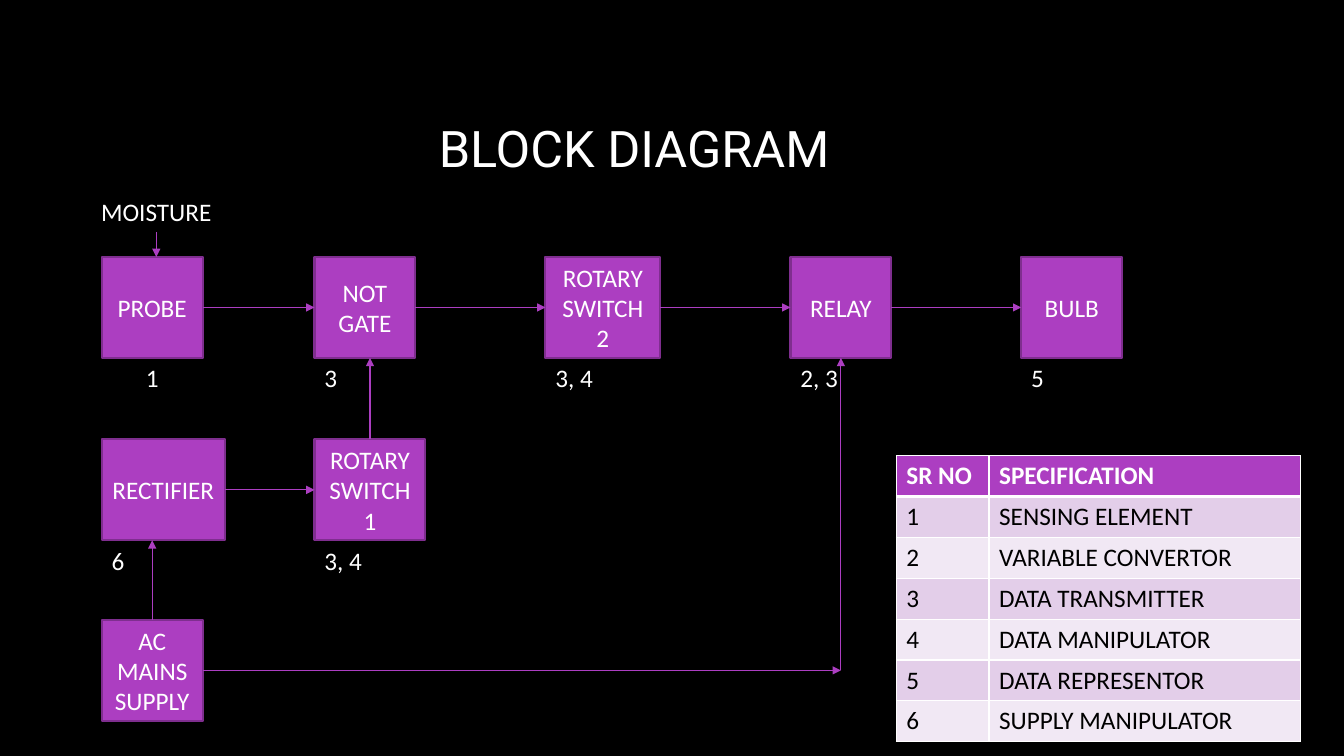
from lxml import etree
from pptx import Presentation
from pptx.dml.color import RGBColor
from pptx.enum.shapes import MSO_CONNECTOR, MSO_SHAPE
from pptx.enum.text import MSO_ANCHOR, PP_ALIGN
from pptx.oxml.ns import qn
from pptx.util import Inches, Pt

CENTER, LEFT = PP_ALIGN.CENTER, PP_ALIGN.LEFT
MIDDLE, TOP_ANCHOR = MSO_ANCHOR.MIDDLE, MSO_ANCHOR.TOP
RECTANGLE = MSO_SHAPE.RECTANGLE
STRAIGHT = MSO_CONNECTOR.STRAIGHT
TOP, LEFT_SIDE, BOTTOM, RIGHT_SIDE = range(4)

COLORS = {
    "background": "000000",
    "purple": "AC3EC1",
    "outline": "7F2E8F",
    "white": "FFFFFF",
    "black": "000000",
    "band_dark": "E3CEE9",
    "band_light": "F1E8F4",
}
BODY = {"name": "Calibri", "size": Pt(18), "bold": False}
HEADER = {**BODY, "bold": True}
TITLE = {"name": "Roboto", "size": Pt(36), "bold": False}

BLOCK_SIZE = 1
LABEL_HEIGHT = 0.4
TOP_ROW, MIDDLE_ROW, BOTTOM_ROW = 2.55, 4.36, 6.15

BLOCKS = {
    "PROBE": (1.01, TOP_ROW, 1, "1", CENTER),
    "NOT GATE": (3.12, TOP_ROW, 1, "3", LEFT),
    "ROTARY SWITCH 2": (5.41, TOP_ROW, 1.14, "3, 4", LEFT),
    "RELAY": (7.84, TOP_ROW, 1, "2, 3", LEFT),
    "BULB": (10.13, TOP_ROW, 1, "5", LEFT),
    "RECTIFIER": (1.01, MIDDLE_ROW, 1.22, "6", LEFT),
    "ROTARY SWITCH 1": (3.12, MIDDLE_ROW, 1.1, "3, 4", LEFT),
    "AC MAINS SUPPLY": (1.01, BOTTOM_ROW, 1, None, LEFT),
}
SIDEWAYS_FLOWS = [
    ("PROBE", "NOT GATE"),
    ("NOT GATE", "ROTARY SWITCH 2"),
    ("ROTARY SWITCH 2", "RELAY"),
    ("RELAY", "BULB"),
    ("RECTIFIER", "ROTARY SWITCH 1"),
]
UPWARD_FLOWS = [("AC MAINS SUPPLY", "RECTIFIER"), ("ROTARY SWITCH 1", "NOT GATE")]
SPECIFICATIONS = [
    "SENSING ELEMENT",
    "VARIABLE CONVERTOR",
    "DATA TRANSMITTER",
    "DATA MANIPULATOR",
    "DATA REPRESENTOR",
    "SUPPLY MANIPULATOR",
]


def color(name):
    return RGBColor.from_string(COLORS[name])


def write(frame, text, style=BODY, align=LEFT, ink="white"):
    paragraph = frame.paragraphs[0]
    paragraph.alignment = align
    run = paragraph.add_run()
    run.text = text
    for attribute, value in style.items():
        setattr(run.font, attribute, value)
    run.font.color.rgb = color(ink)


def add_label(slide, box, text, style=BODY, align=LEFT, anchor=TOP_ANCHOR):
    frame = slide.shapes.add_textbox(*map(Inches, box)).text_frame
    frame.word_wrap = True
    frame.vertical_anchor = anchor
    write(frame, text, style, align)


def add_block(slide, name, left, top, width, number, align):
    shape = slide.shapes.add_shape(
        RECTANGLE, *map(Inches, (left, top, width, BLOCK_SIZE)))
    shape.shadow.inherit = False
    shape.fill.solid()
    shape.fill.fore_color.rgb = color("purple")
    shape.line.color.rgb = color("outline")
    shape.line.width = Pt(1.5)
    shape.text_frame.word_wrap = True
    shape.text_frame.vertical_anchor = MIDDLE
    write(shape.text_frame, name, align=CENTER)
    if number:
        label_box = (left, top + BLOCK_SIZE, width, LABEL_HEIGHT)
        add_label(slide, label_box, number, align=align)
    return shape


def add_arrow(slide, start, end, source=None, target=None):
    arrow = slide.shapes.add_connector(STRAIGHT, *start, *end)
    if source:
        arrow.begin_connect(*source)
    if target:
        arrow.end_connect(*target)
    arrow.line.color.rgb = color("purple")
    arrow.line.width = Pt(0.75)
    etree.SubElement(arrow.line._get_or_add_ln(), qn("a:tailEnd"), type="triangle")
    etree.SubElement(arrow._element.spPr, qn("a:effectLst"))


def middle(shape, side):
    across = {LEFT_SIDE: 0, RIGHT_SIDE: shape.width}.get(side, shape.width // 2)
    down = {TOP: 0, BOTTOM: shape.height}.get(side, shape.height // 2)
    return shape.left + across, shape.top + down


def add_diagram(slide, box):
    left, top, width, height = box
    blocks = {name: add_block(slide, name, *place) for name, place in BLOCKS.items()}

    for source, target in SIDEWAYS_FLOWS:
        begin, end = (blocks[source], RIGHT_SIDE), (blocks[target], LEFT_SIDE)
        add_arrow(slide, middle(*begin), middle(*end), begin, end)
    for source, target in UPWARD_FLOWS:
        begin = (blocks[source], TOP)
        x, y = middle(*begin)
        add_arrow(slide, (x, y), (x, middle(blocks[target], BOTTOM)[1]), begin)

    supply = (blocks["AC MAINS SUPPLY"], RIGHT_SIDE)
    relay = (blocks["RELAY"], BOTTOM)
    corner = (middle(*relay)[0], middle(*supply)[1])
    add_arrow(slide, middle(*supply), corner, source=supply)
    add_arrow(slide, corner, middle(*relay), target=relay)

    add_label(slide, (left, top, width, height), "MOISTURE", align=CENTER)
    x = Inches(left + width / 2)
    add_arrow(slide, (x, Inches(top + height)), (x, Inches(TOP_ROW)))


def add_border(cell, side, points):
    line = etree.SubElement(
        cell._tc.get_or_add_tcPr(), qn(f"a:ln{side}"), w=str(Pt(points)))
    fill = etree.SubElement(line, qn("a:solidFill"))
    etree.SubElement(fill, qn("a:srgbClr"), val=COLORS["white"])


def add_specification_table(slide, box, first_width):
    rows = [("SR NO", "SPECIFICATION")]
    rows += [(str(number), name) for number, name in enumerate(SPECIFICATIONS, 1)]
    table = slide.shapes.add_table(len(rows), 2, *map(Inches, box)).table
    table.columns[0].width = Inches(first_width)
    table.columns[1].width = Inches(box[2] - first_width)
    for row, texts in enumerate(rows):
        if row == 0:
            style, ink, fill = HEADER, "white", "purple"
        else:
            style, ink = BODY, "black"
            fill = "band_dark" if row % 2 else "band_light"
        thickness = {"L": 1, "R": 1, "T": 3 if row == 1 else 1, "B": 3 if row == 0 else 1}
        for column, text in enumerate(texts):
            cell = table.cell(row, column)
            for side, points in thickness.items():
                add_border(cell, side, points)
            cell.fill.solid()
            cell.fill.fore_color.rgb = color(fill)
            write(cell.text_frame, text, style, ink=ink)


def main():
    presentation = Presentation()
    presentation.slide_width = Inches(13.33)
    presentation.slide_height = Inches(7.5)
    slide = presentation.slides.add_slide(presentation.slide_layouts[6])
    slide.background.fill.solid()
    slide.background.fill.fore_color.rgb = color("background")
    add_label(slide, (0.75, 0.67, 11.08, 1.59), "BLOCK DIAGRAM", TITLE, CENTER, MIDDLE)
    add_diagram(slide, (0.75, 1.9, 1.6, LABEL_HEIGHT))
    add_specification_table(slide, (8.89, 4.52, 4.01, 2.84), 0.92)
    presentation.save("out.pptx")


if __name__ == "__main__":
    main()
